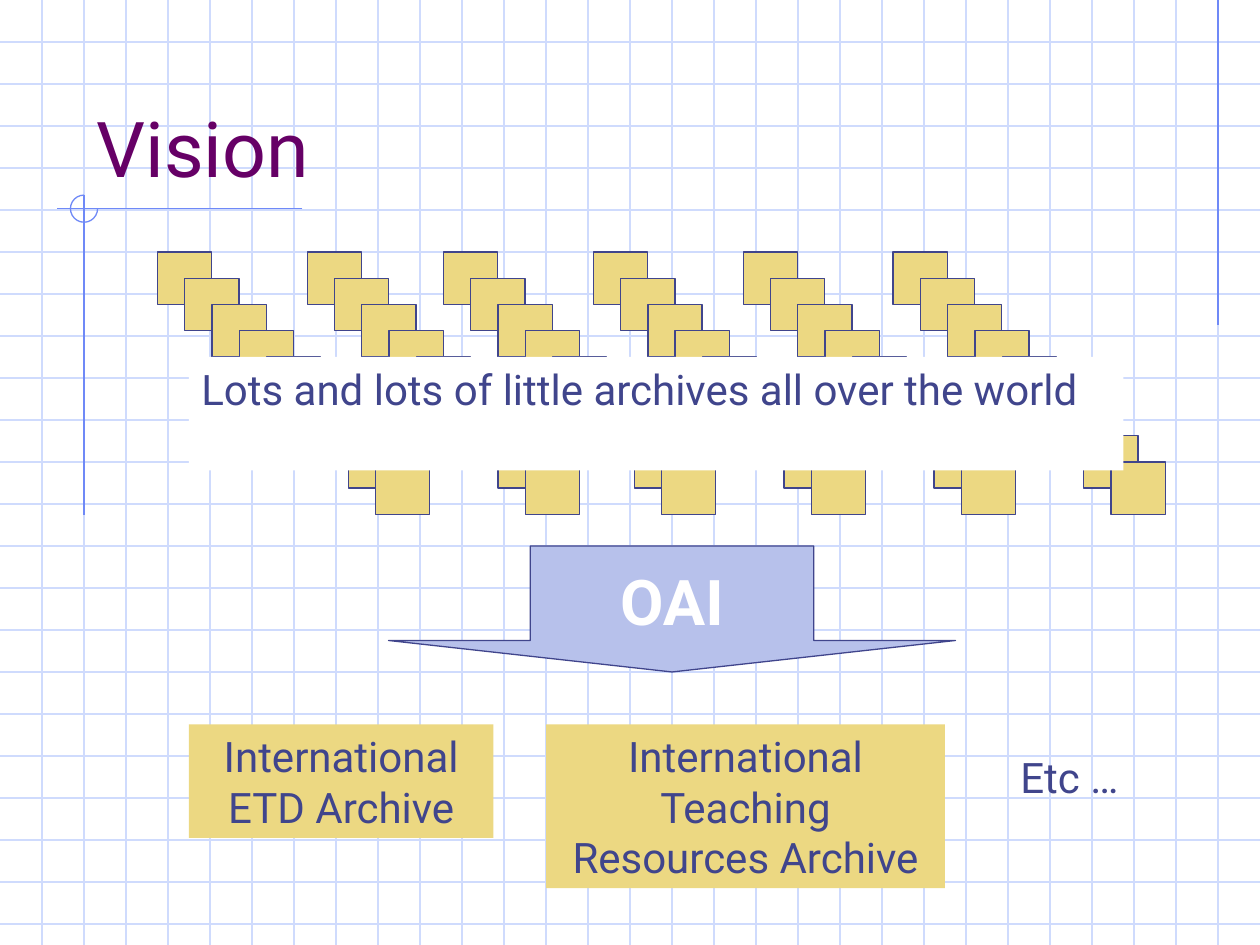
import dataclasses
import typing

import pptx
import pptx.dml.color
import pptx.enum.dml
import pptx.enum.shapes
import pptx.enum.text
import pptx.oxml.ns
import pptx.util
import lxml.etree

Pt = pptx.util.Pt
Kind = pptx.enum.shapes.MSO_SHAPE
Align = pptx.enum.text.PP_ALIGN
Anchor = pptx.enum.text.MSO_ANCHOR

FONT = "Roboto"
COLORS = {
    "grid": "CFDBFD",
    "accent": "6F89F7",
    "title": "660066",
    "ink": "40458C",
    "gold": "ECD882",
    "arrow": "B7C1EB",
    "white": "FFFFFF",
}
WIDE, HIGH = 720, 540
GRID = 24
STEP_X, STEP_Y = 15.57, 15
STACKS = (0, 5.5, 10.5, 16, 21.5, 27)
CARDS = (0, 1, 2, 3, 4, 7, 8)


@dataclasses.dataclass
class Box:
    left: float
    top: float
    width: float
    height: float

    def place(self) -> tuple:
        return Pt(self.left), Pt(self.top), Pt(self.width), Pt(self.height)


@dataclasses.dataclass
class Label:
    box: Box
    text: str
    fill: typing.Optional[str] = None
    align: Align = Align.CENTER
    size: float = 24
    color: str = "ink"
    bold: bool = False


@dataclasses.dataclass
class Rule:
    x1: float
    y1: float
    x2: float
    y2: float
    color: str


RULES = (
    [Rule(0, y, WIDE, y, "grid") for y in range(GRID, HIGH, GRID)]
    + [Rule(x, 0, x, HIGH, "grid") for x in range(GRID, WIDE, GRID)]
    + [
        Rule(696, 0, 696, 186, "accent"),
        Rule(172.8, 119.25, 32.5, 119.25, "accent"),
        Rule(48, 111.5, 48, 294.5, "accent"),
    ]
)
LABELS = [
    Label(Box(276, 318, 216, 50.5), "OAI", size=36, color="white", bold=True),
    Label(Box(108, 204, 534, 64.8),
          "Lots and lots of little archives all over the world",
          "white", Align.LEFT),
    Label(Box(108, 414, 174, 64.8), "International ETD Archive", "gold"),
    Label(Box(312, 414, 228, 93.6),
          "International Teaching Resources Archive", "gold"),
    Label(Box(576, 426, 102, 36), "Etc …", align=Align.LEFT),
]


def get_color(name: str) -> pptx.dml.color.RGBColor:
    return pptx.dml.color.RGBColor.from_string(COLORS[name])


def set_line(line, color: str) -> None:
    line.color.rgb = get_color(color)
    line.width = Pt(0.75)


def draw_rule(shapes, rule: Rule) -> None:
    line = shapes.add_connector(
        pptx.enum.shapes.MSO_CONNECTOR.STRAIGHT,
        Pt(rule.x1), Pt(rule.y1), Pt(rule.x2), Pt(rule.y2))
    set_line(line.line, rule.color)
    props = line.element.find(pptx.oxml.ns.qn("p:spPr"))
    lxml.etree.SubElement(props, pptx.oxml.ns.qn("a:effectLst"))


def draw_shape(shapes, kind: Kind, box: Box, fill: typing.Optional[str],
               line: typing.Optional[str]):
    shape = shapes.add_shape(kind, *box.place())
    shape.shadow.inherit = False
    if fill:
        shape.fill.solid()
        shape.fill.fore_color.rgb = get_color(fill)
    else:
        shape.fill.background()
    if line:
        set_line(shape.line, line)
    else:
        shape.line.fill.background()
    return shape


def write_text(frame, text: str, align: Align, size: float, color: str,
               bold: bool, anchor: Anchor) -> None:
    frame.word_wrap = True
    frame.auto_size = pptx.enum.text.MSO_AUTO_SIZE.NONE
    frame.vertical_anchor = anchor
    para = frame.paragraphs[0]
    para.text = text
    para.alignment = align
    para.font.name = FONT
    para.font.size = Pt(size)
    para.font.bold = bold
    para.font.color.rgb = get_color(color)


def draw_label(shapes, label: Label) -> None:
    if label.fill:
        shape = draw_shape(shapes, Kind.RECTANGLE, label.box, label.fill, None)
    else:
        shape = shapes.add_textbox(*label.box.place())
    write_text(shape.text_frame, label.text, label.align, label.size,
               label.color, label.bold, Anchor.TOP)


def draw_title(shapes) -> None:
    title = shapes.title
    title.left, title.top, title.width, title.height = Box(
        48, 24, 612, 90).place()
    write_text(title.text_frame, "Vision", Align.LEFT, 44, "title", False,
               Anchor.BOTTOM)
    title.element.getparent().append(title.element)


def main() -> None:
    deck = pptx.Presentation()
    deck.slide_width, deck.slide_height = Pt(WIDE), Pt(HIGH)
    slide = deck.slides.add_slide(deck.slide_layouts[5])
    slide.background.fill.solid()
    slide.background.fill.fore_color.rgb = get_color("white")
    shapes = slide.shapes

    for rule in RULES:
        draw_rule(shapes, rule)
    arc = draw_shape(shapes, Kind.ARC, Box(40.25, 111.5, 15.5, 15.5), None,
                     "accent")
    arc.adjustments[0] = 0
    arc.adjustments[1] = 162
    draw_title(shapes)

    for stack in STACKS:
        for card in CARDS:
            box = Box(90 + (stack + card) * STEP_X, 144 + card * STEP_Y, 31, 30)
            draw_shape(shapes, Kind.RECTANGLE, box, "gold", "ink")

    arrow = draw_shape(shapes, Kind.DOWN_ARROW, Box(222, 312, 324, 72),
                       "arrow", "ink")
    arrow.adjustments[0] = 0.5
    arrow.adjustments[1] = 0.25
    for label in LABELS:
        draw_label(shapes, label)
    deck.save("out.pptx")


if __name__ == "__main__":
    main()
